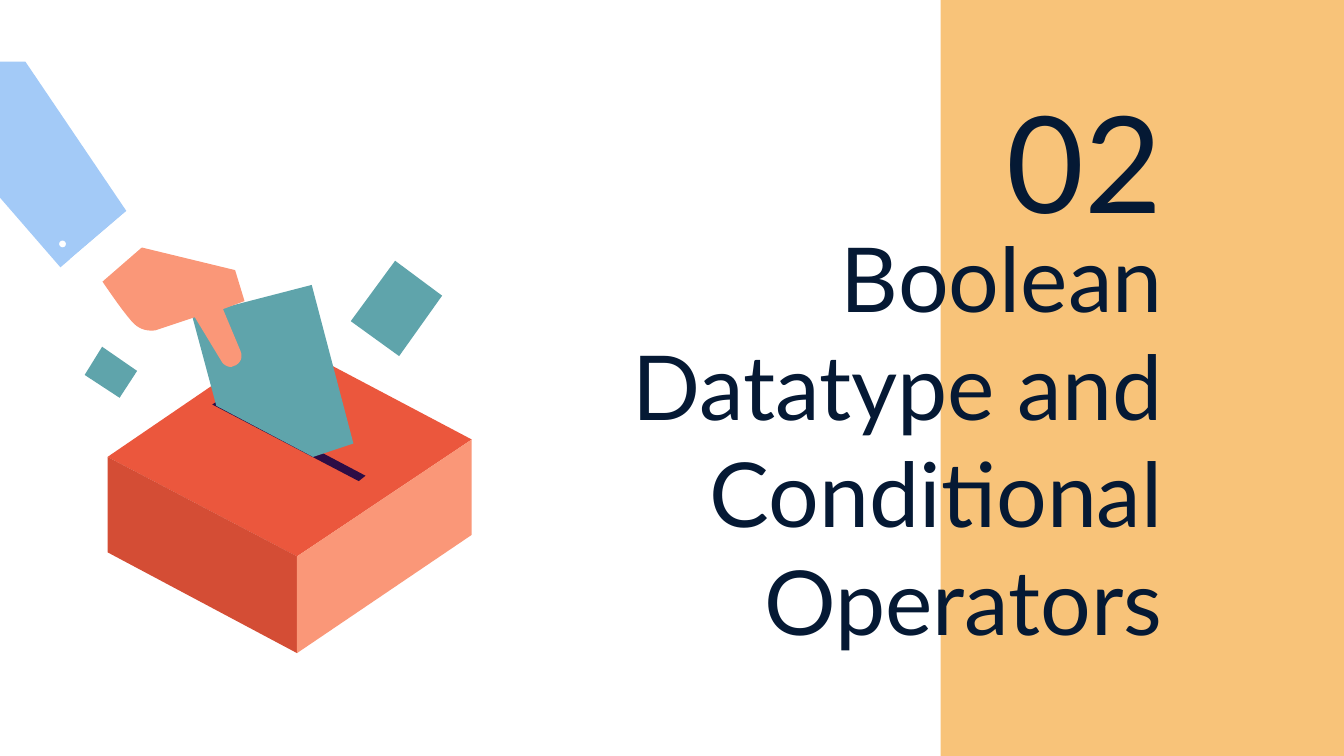
from pptx import Presentation
from pptx.dml.color import RGBColor
from pptx.enum.shapes import MSO_SHAPE as Shape
from pptx.enum.text import MSO_ANCHOR as Anchor, PP_ALIGN as Align
from pptx.util import Inches, Pt

WIDTH = 10
HEIGHT = WIDTH * 9 / 16
COLORS = {
    "band": "F8C379",
    "ink": "051934",
    "lid": "EB573D",
    "slot": "2D0D45",
    "box_left": "D44D35",
    "skin": "FA9778",
    "ballot": "5FA4AB",
    "sleeve": "A3CAF7",
    "white": "FFFFFF",
}


def bezier(p0, p1, p2, p3, steps=8):
    """Return points along a cubic curve, without its start point."""
    points = []
    for step in range(1, steps + 1):
        t = step / steps
        weights = ((1 - t) ** 3, 3 * t * (1 - t) ** 2, 3 * t * t * (1 - t), t ** 3)
        points.append(tuple(
            sum(w * value for w, value in zip(weights, axis))
            for axis in zip(p0, p1, p2, p3)
        ))
    return points


class SlideBuilder:
    font = "Lato"

    def __init__(self, slide):
        self.slide = slide
        self.shapes = slide.shapes

    def start_group(self):
        """Send the shapes that follow into a new group."""
        self.shapes = self.slide.shapes.add_group_shape().shapes

    def paint(self, shape, color):
        shape.shadow.inherit = False
        shape.fill.solid()
        shape.fill.fore_color.rgb = RGBColor.from_string(COLORS[color])
        shape.line.fill.background()

    def preset(self, kind, left, top, width, height, color):
        shape = self.shapes.add_shape(kind, *map(Inches, (left, top, width, height)))
        self.paint(shape, color)

    def polygon(self, points, color):
        start, *rest = [(Inches(x), Inches(y)) for x, y in points]
        outline = self.shapes.build_freeform(*start)
        outline.add_line_segments(rest, close=True)
        self.paint(outline.convert_to_shape(), color)

    def heading(self, lines, left, top, width, height, size, anchor):
        box = self.shapes.add_textbox(*map(Inches, (left, top, width, height)))
        frame = box.text_frame
        frame.word_wrap = True
        frame.vertical_anchor = anchor
        frame.margin_left = frame.margin_right = Inches(0.1)
        frame.margin_top = frame.margin_bottom = Inches(0.1)
        frame.text = "\n".join(lines)
        for paragraph in frame.paragraphs:
            paragraph.alignment = Align.RIGHT
            paragraph.font.name = self.font
            paragraph.font.size = Pt(size)
            paragraph.font.color.rgb = RGBColor.from_string(COLORS["ink"])


def draw_voting_scene(builder):
    builder.start_group()

    # Ballot box: the three visible faces share these corners
    left, front, right = (0.8, 3.4), (2.21, 4.14), (3.51, 3.27)
    left_base, front_base, right_base = (0.8, 4.11), (2.21, 4.86), (3.51, 3.98)
    builder.polygon([(2.09, 2.52), right, front, left], "lid")
    builder.polygon([(1.64, 2.97), (2.72, 3.54), (2.67, 3.58), (1.58, 3.01)], "slot")
    builder.polygon([left, front, front_base, left_base], "box_left")
    builder.polygon([right, right_base, front_base, front], "skin")

    ballots = [
        [(2.32, 2.12), (2.63, 3.3), (2.33, 3.4), (1.61, 3.02), (1.43, 2.35)],
        [(2.94, 1.94), (3.29, 2.2), (2.97, 2.65), (2.61, 2.39)],
        [(0.76, 2.58), (1.02, 2.76), (0.89, 2.96), (0.63, 2.79)],
    ]
    for ballot in ballots:
        builder.polygon(ballot, "ballot")

    fingertip = [
        *bezier((1.79, 2.61), (1.81, 2.66), (1.79, 2.7), (1.75, 2.72)),
        *bezier((1.75, 2.72), (1.74, 2.72), (1.73, 2.73), (1.72, 2.73)),
        *bezier((1.72, 2.73), (1.69, 2.73), (1.66, 2.71), (1.65, 2.69)),
    ]
    knuckles = [
        *bezier((1.18, 2.45), (1.18, 2.45), (1.16, 2.46), (1.13, 2.46)),
        *bezier((1.13, 2.46), (1.09, 2.46), (1.03, 2.45), (0.98, 2.39)),
        *bezier((0.98, 2.39), (0.9, 2.3), (0.76, 2.09), (0.76, 2.09)),
    ]
    builder.polygon(
        [(1.05, 1.84), (1.75, 2.01), (1.82, 2.24), (1.66, 2.3), (1.79, 2.61),
         *fingertip, (1.45, 2.36), (1.18, 2.45), *knuckles],
        "skin",
    )

    # Sleeve, cuff and button
    builder.polygon(
        [(0.19, 0.46), (0.94, 1.57), (0.45, 1.99), (-0.4, 1.01), (-0.4, 0.46)],
        "sleeve",
    )
    builder.polygon([(0.92, 1.59), (1.09, 1.81), (0.71, 2.14), (0.52, 1.93)], "white")
    builder.preset(Shape.OVAL, 0.44, 1.79, 0.05, 0.05, "white")


def main():
    deck = Presentation()
    deck.slide_width, deck.slide_height = Inches(WIDTH), Inches(HEIGHT)
    builder = SlideBuilder(deck.slides.add_slide(deck.slide_layouts[6]))

    builder.preset(Shape.RECTANGLE, 7, -0.01, 3.03, 5.65, "band")
    builder.heading(["Boolean", "Datatype and Conditional Operators"],
                    4.12, 2.8, 4.63, 0.92, 48, Anchor.MIDDLE)
    builder.heading(["02"], 6, 1.03, 2.75, 0.86, 72, Anchor.BOTTOM)
    draw_voting_scene(builder)

    deck.save("out.pptx")


if __name__ == "__main__":
    main()
